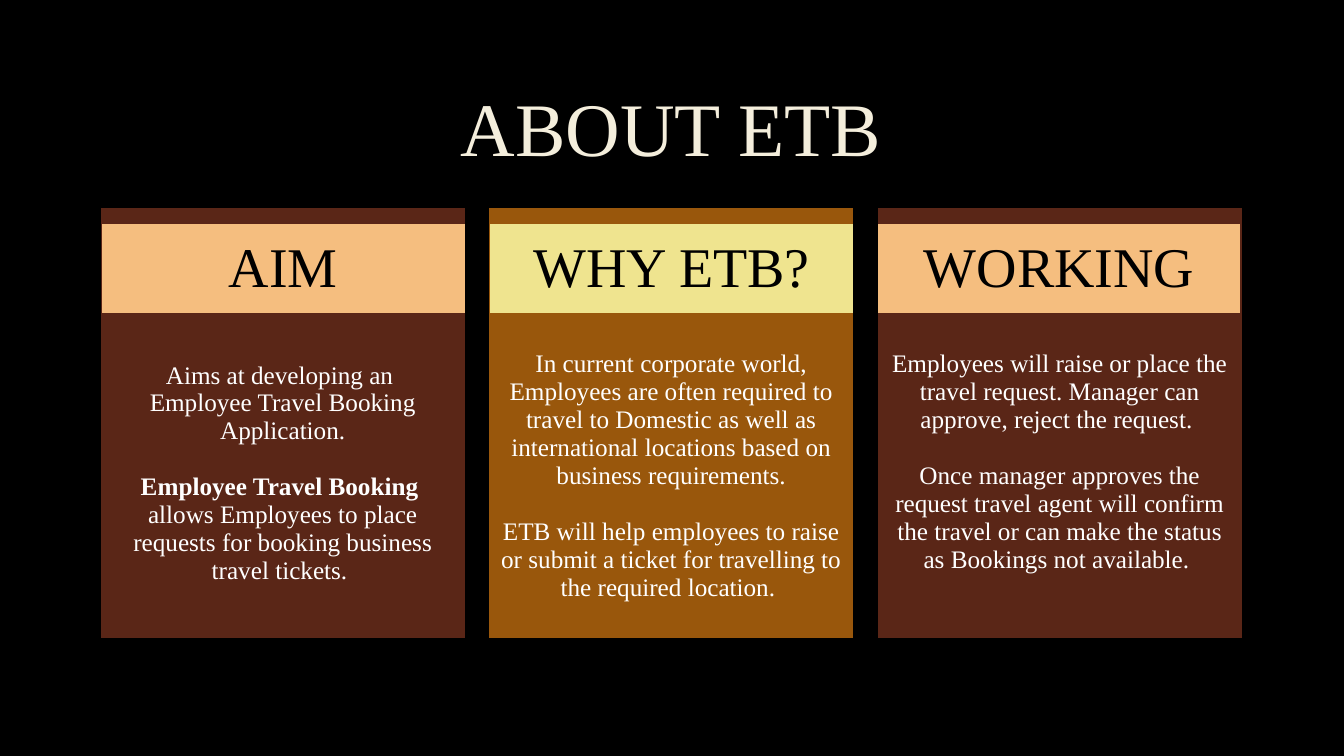
from pptx import Presentation
from pptx.dml.color import RGBColor
from pptx.enum.text import MSO_ANCHOR as Anchor, PP_ALIGN as Align
from pptx.util import Cm, Pt

BLACK = RGBColor(0x00, 0x00, 0x00)
WHITE = RGBColor(0xFF, 0xFF, 0xFF)
CREAM = RGBColor(0xF4, 0xEE, 0xDC)
BROWN = RGBColor(0x5A, 0x26, 0x17)
AMBER = RGBColor(0x99, 0x57, 0x0C)
PEACH = RGBColor(0xF5, 0xBE, 0x7F)
LEMON = RGBColor(0xEF, 0xE4, 0x8F)

FACE = "Times New Roman"
PLAIN = "{2D5ABB26-0587-4C30-8999-92F81FD0307C}"
TITLE = "ABOUT ETB"
TITLE_FONT = {"name": FACE, "size": Pt(54)}
HEAD_FONT = {"name": FACE, "size": Pt(40)}
BODY_FONT = {"name": FACE, "size": Pt(18)}
MID = {"vertical_anchor": Anchor.MIDDLE}

CARDS = [
    {"head": "AIM", "back": BROWN, "band": PEACH, "inset": 0.03,
     "cell": {"vertical_anchor": Anchor.TOP, "margin_top": Cm(0.83)},
     "body": [
         (0, "", "Aims at developing an "),
         (0, "", "Employee Travel Booking"),
         (0, "", "Application."),
         (20, "Employee Travel Booking ",
          "allows Employees to place requests for booking business travel tickets. "),
     ]},
    {"head": "WHY ETB?", "back": AMBER, "band": LEMON, "inset": 0.03,
     "cell": MID,
     "body": [
         (0, "", "In current corporate world, Employees are often required to travel to "
                 "Domestic as well as international locations based on business requirements."),
         (20, "", "ETB will help employees to raise or submit a ticket for travelling to "
                  "the required location. "),
     ]},
    {"head": "WORKING", "back": BROWN, "band": PEACH, "inset": 0,
     "cell": {**MID, "margin_bottom": Cm(0.83)},
     "body": [
         (0, "", "Employees will raise or place the travel request. Manager can approve, "
                 "reject the request. "),
         (20, "", "Once manager approves the request travel agent will confirm the travel "
                  "or can make the status as Bookings not available. "),
     ]},
]

LEFT, PITCH, WIDE = 2.54, 9.79, 9.17
BACK_TOP, BACK_HIGH = 5.23, 10.85
BAND_TOP, BAND_WIDE, BAND_HIGH = 5.64, 9.14, 2.26
BODY_TOP, BODY_HIGH = 8.28, 7.42


def style(item, form):
    for key, value in form.items():
        setattr(item, key, value)


def add_run(para, text, form, color, bold=False):
    run = para.add_run()
    run.text = text
    style(run.font, {**form, "bold": bold})
    run.font.color.rgb = color


def add_cell(slide, left, top, wide, high, fill=None, form=MID):
    table = slide.shapes.add_table(1, 1, Cm(left), Cm(top), Cm(wide), Cm(high)).table
    style(table, {"first_row": False, "horz_banding": False})
    table._tbl.tblPr[0].text = PLAIN
    cell = table.cell(0, 0)
    style(cell, form)
    if fill is None:
        cell.fill.background()
    else:
        cell.fill.solid()
        cell.fill.fore_color.rgb = fill
    return cell


def add_body(cell, lines):
    frame = cell.text_frame
    for num, (gap, lead, text) in enumerate(lines):
        para = frame.add_paragraph() if num else frame.paragraphs[0]
        style(para, {"alignment": Align.CENTER, "space_before": Pt(gap)})
        if lead:
            add_run(para, lead, BODY_FONT, WHITE, True)
            para.add_line_break()
        add_run(para, text, BODY_FONT, WHITE)


def add_card(slide, num, card):
    left = LEFT + num * PITCH
    add_cell(slide, left, BACK_TOP, WIDE, BACK_HIGH, card["back"])
    band = add_cell(slide, left + card["inset"], BAND_TOP, BAND_WIDE, BAND_HIGH, card["band"])
    para = band.text_frame.paragraphs[0]
    para.alignment = Align.CENTER
    add_run(para, card["head"], HEAD_FONT, BLACK)
    body = add_cell(slide, left, BODY_TOP, WIDE, BODY_HIGH, form=card["cell"])
    add_body(body, card["body"])


def add_title(slide):
    title = slide.shapes.title
    style(title, {"left": Cm(2.54), "top": Cm(1.57), "width": Cm(28.75), "height": Cm(3.51)})
    title.text_frame.vertical_anchor = Anchor.MIDDLE
    para = title.text_frame.paragraphs[0]
    style(para, {"alignment": Align.CENTER, "line_spacing": 0.9})
    add_run(para, TITLE, TITLE_FONT, CREAM)


def main():
    deck = Presentation()
    style(deck, {"slide_width": Cm(33.87), "slide_height": Cm(19.05)})
    slide = deck.slides.add_slide(deck.slide_layouts[5])
    slide.background.fill.solid()
    slide.background.fill.fore_color.rgb = BLACK
    add_title(slide)
    for num, card in enumerate(CARDS):
        add_card(slide, num, card)
    deck.save("out.pptx")


if __name__ == "__main__":
    main()
